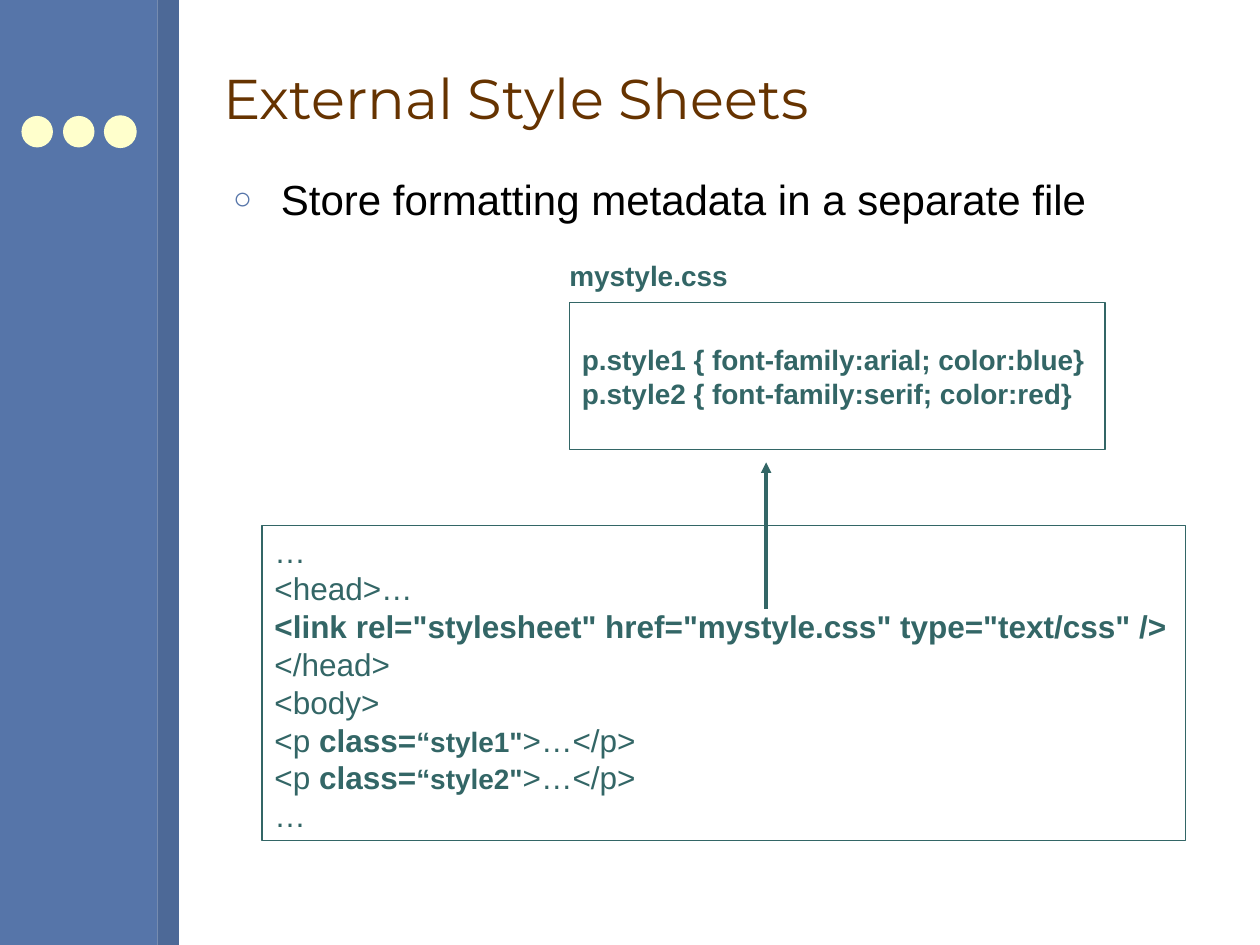
import pptx
import pptx.util
import pptx.dml.color
import pptx.enum.shapes
import pptx.enum.text
import pptx.oxml.ns
import lxml.etree

Inches = pptx.util.Inches
Pt = pptx.util.Pt
Shape = pptx.enum.shapes.MSO_SHAPE
Anchor = pptx.enum.text.MSO_ANCHOR


def rgb(code):
    return pptx.dml.color.RGBColor.from_string(code)


def node(parent, tag, **attrs):
    return lxml.etree.SubElement(parent, pptx.oxml.ns.qn(tag), attrs)


def write(par, text, size=18, color="336666", bold=False, font="Arial"):
    run = par.add_run()
    run.text = text
    run.font.size = Pt(size)
    run.font.bold = bold
    run.font.name = font
    run.font.color.rgb = rgb(color)


class Deck:
    """Hold the style and the current slide, and draw each kind of element."""

    ink = "336666"
    blue = "5675A9"
    dark = "4D6997"
    cream = "FFFFCC"

    def __init__(self):
        self.prs = pptx.Presentation()
        self.prs.slide_width, self.prs.slide_height = Inches(10), Inches(7.5)
        self.slide = self.prs.slides.add_slide(self.prs.slide_layouts[1])

    def place(self, item, box, wrap=True):
        item.left, item.top, item.width, item.height = map(Inches, box)
        frame = item.text_frame
        frame.word_wrap = wrap
        frame.auto_size = pptx.enum.text.MSO_AUTO_SIZE.NONE
        par = frame.paragraphs[0]
        par.alignment = pptx.enum.text.PP_ALIGN.LEFT
        par.space_before = Pt(0)
        return par

    def title(self, text, box):
        par = self.place(self.slide.shapes.title, box)
        self.slide.shapes.title.text_frame.vertical_anchor = Anchor.MIDDLE
        write(par, text, size=32, color="663300", font="Montserrat")

    def bullet(self, text, box):
        par = self.place(self.slide.placeholders[1], box)
        par.space_after = Pt(7.5)
        props = par._p.get_or_add_pPr()
        props.set("marL", str(Inches(0.38)))
        props.set("indent", str(-Inches(0.38)))
        node(node(props, "a:buClr"), "a:srgbClr", val=self.blue)
        node(props, "a:buSzPct", val="75000")
        node(props, "a:buChar", char="○")
        write(par, text, size=24, color="000000")

    def shape(self, kind, box, fill=None, line=None):
        item = self.slide.shapes.add_shape(kind, *map(Inches, box))
        item.shadow.inherit = False
        if fill:
            item.fill.solid()
            item.fill.fore_color.rgb = rgb(fill)
        else:
            item.fill.background()
        if line:
            item.line.color.rgb = rgb(line)
            item.line.width = Pt(0.75)
        else:
            item.line.fill.background()
        return item

    def code(self, lines, box, anchor=Anchor.TOP, **fmt):
        item = self.shape(Shape.RECTANGLE, box, line=self.ink)
        self.place(item, box)
        frame = item.text_frame
        frame.vertical_anchor = anchor
        for num, line in enumerate(lines):
            par = frame.add_paragraph() if num else frame.paragraphs[0]
            par.alignment = pptx.enum.text.PP_ALIGN.LEFT
            for text, extra in line:
                write(par, text, **{**fmt, **extra})

    def label(self, text, box, **fmt):
        item = self.slide.shapes.add_textbox(*map(Inches, box))
        write(self.place(item, box, wrap=False), text, **fmt)

    def arrow(self, start, end):
        kind = pptx.enum.shapes.MSO_CONNECTOR.STRAIGHT
        item = self.slide.shapes.add_connector(kind, *map(Inches, start + end))
        item.line.color.rgb = rgb(self.ink)
        item.line.width = Pt(2)
        node(item.line._get_or_add_ln(), "a:tailEnd", type="triangle")
        node(item._element.spPr, "a:effectLst")


def main():
    deck = Deck()
    deck.shape(Shape.RECTANGLE, (0, 0, 1.25, 7.5), fill=deck.blue)
    deck.shape(Shape.RECTANGLE, (1.25, 0, 0.17, 7.5), fill=deck.dark)
    for num in range(3):
        edge = deck.cream if num == 2 else None
        box = (0.17 + 0.33 * num, 0.92, 0.25, 0.25)
        deck.shape(Shape.OVAL, box, fill=deck.cream, line=edge)

    deck.title("External Style Sheets", (1.67, 0.21, 8, 1.13))
    deck.bullet("Store formatting metadata in a separate file", (1.75, 1.33, 7.92, 5.58))

    bold = {"bold": True}
    link = '<link rel="stylesheet" href="mystyle.css" type="text/css" />'
    uses = [
        [("<p ", {}), ("class=", bold), (f'“{name}"', {"bold": True, "size": 16}), (">…</p>", {})]
        for name in ("style1", "style2")
    ]
    page = [
        [("…", {})],
        [("<head>…", {})],
        [(link, bold)],
        [("</head>", {})],
        [("<body>", {})],
        *uses,
        [("…", {})],
    ]
    deck.code(page, (2.08, 4.17, 7.33, 2.5))

    rules = [
        [("p.style1 { font-family:arial; color:blue}", {})],
        [("p.style2 { font-family:serif; color:red}", {})],
    ]
    deck.code(rules, (4.52, 2.4, 4.25, 1.17), Anchor.MIDDLE, size=16, bold=True)
    deck.label("mystyle.css", (4.42, 2, 1.45, 0.37), size=16, bold=True)
    deck.arrow((6.08, 4.83), (6.08, 3.67))
    deck.prs.save("out.pptx")


if __name__ == "__main__":
    main()
